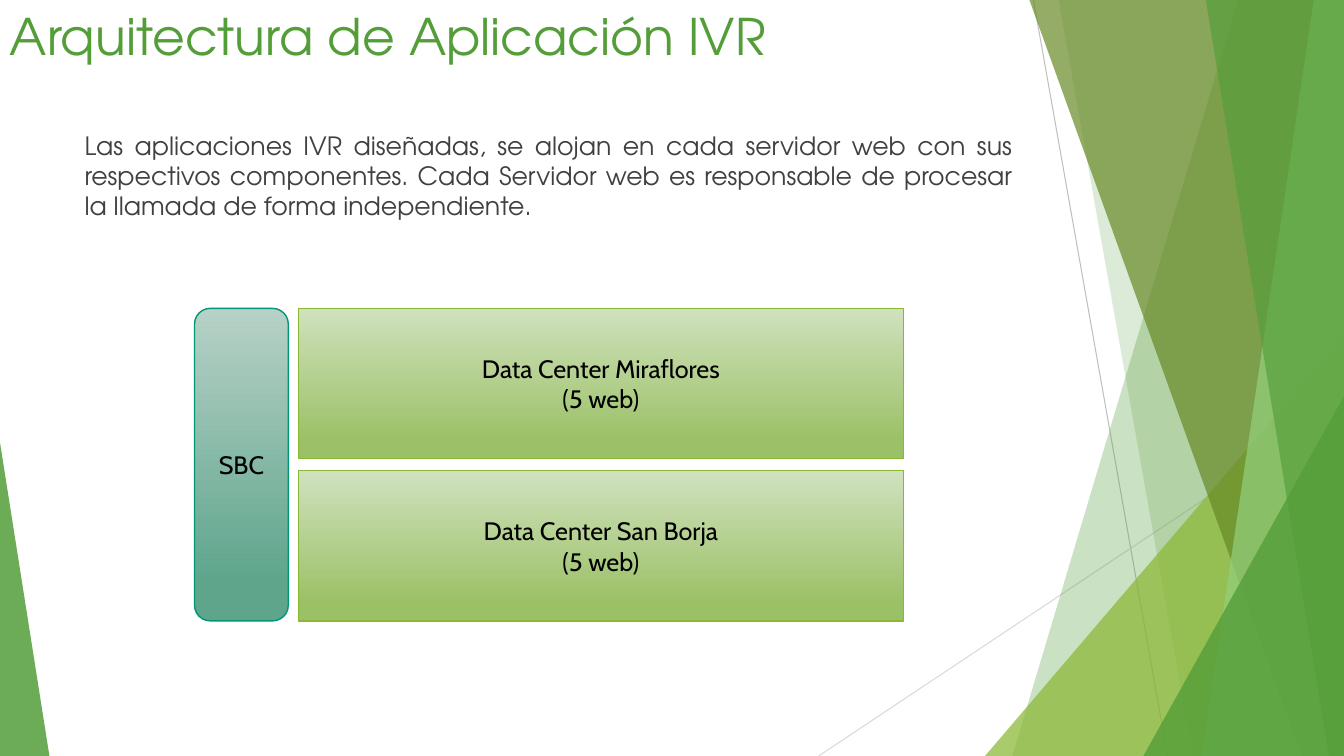
import pptx
import pptx.util
import pptx.dml.color
import pptx.enum.shapes
import pptx.enum.text
import pptx.oxml.ns
import lxml.etree

RGBColor = pptx.dml.color.RGBColor
SHAPE = pptx.enum.shapes.MSO_SHAPE
ALIGN = pptx.enum.text.PP_ALIGN
ANCHOR = pptx.enum.text.MSO_ANCHOR

GREEN = RGBColor(0x54, 0x9E, 0x39)
LIME = RGBColor(0x8A, 0xB8, 0x33)
OLIVE = RGBColor(0x67, 0x8A, 0x26)
MINT = RGBColor(0x93, 0xD0, 0x7D)
TEAL = RGBColor(0x02, 0x96, 0x76)
LIME_FADE = (RGBColor(0xD0, 0xE1, 0xBE), RGBColor(0x9B, 0xC1, 0x66))
TEAL_FADE = (RGBColor(0xB7, 0xD1, 0xC7), RGBColor(0x5E, 0xA5, 0x8C))
GREY = RGBColor(0xBF, 0xBF, 0xBF)
PALE_GREY = RGBColor(0xD9, 0xD9, 0xD9)
DARK = RGBColor(0x40, 0x40, 0x40)
BLACK = RGBColor(0, 0, 0)

TITLE_FONT, LABEL_FONT = "TeX Gyre Adventor", "Cabin"
WIDTH, HEIGHT = 13.33, 7.5

TITLE = "Arquitectura de Aplicación IVR"
BODY = (
    "Las aplicaciones IVR diseñadas, se alojan en cada servidor web con sus "
    "respectivos componentes. Cada Servidor web es responsable de procesar "
    "la llamada de forma independiente."
)
GATEWAY = "SBC"
CENTERS = ["Data Center Miraflores\n(5 web)", "Data Center San Borja\n(5 web)"]

RAYS = [
    ((10.25, 0), (11.58, HEIGHT), GREY),
    ((WIDTH, 4.03), (8.12, HEIGHT), PALE_GREY),
]
FACETS = [
    ("band", 12.28, 10.04, GREEN, 30),
    ("band", 10.5, 11.83, GREEN, 20),
    ("corner", WIDTH - 3.56, 3.56, 4.17, 1, LIME, 72),
    ("band", 10.21, 12.91, OLIVE, 70),
    ("band", 13.03, 11.92, MINT, 70),
    ("band", 11.96, 13.18, GREEN, 65),
    ("corner", WIDTH - 1.99, 1.99, 3.57, 1, GREEN, 80),
    ("corner", 0, 0.49, 3.11, 0, GREEN, 85),
]

LEFT, TOP = 1.93, 3.06
GATEWAY_W, CENTER_W, CENTER_H = 0.93, 6, 1.49
GAP_X, GAP_Y = 0.1, 0.12

inch = pptx.util.Inches
prs = pptx.Presentation()
prs.slide_width, prs.slide_height = inch(WIDTH), inch(HEIGHT)
s = prs.slides.add_slide(prs.slide_layouts[6])


def add_ray(start, end, color):
    line = s.shapes.add_connector(
        pptx.enum.shapes.MSO_CONNECTOR.STRAIGHT, *map(inch, start + end)
    )
    line.line.color.rgb = color
    line.line.width = pptx.util.Pt(0.75)
    lxml.etree.SubElement(
        line._element.spPr, pptx.oxml.ns.qn("a:effectLst")
    )


def paint(sp, color, opacity):
    sp.shadow.inherit = False
    sp.line.fill.background()
    sp.fill.solid()
    sp.fill.fore_color.rgb = color
    clr = sp._element.spPr.find(".//" + pptx.oxml.ns.qn("a:srgbClr"))
    alpha = lxml.etree.SubElement(clr, pptx.oxml.ns.qn("a:alpha"))
    alpha.set("val", str(opacity * 1000))


def add_band(top_x, bottom_x, color, opacity):
    outline = s.shapes.build_freeform(inch(top_x), 0)
    corners = [(WIDTH, 0), (WIDTH, HEIGHT), (bottom_x, HEIGHT)]
    outline.add_line_segments([(inch(x), inch(y)) for x, y in corners])
    paint(outline.convert_to_shape(), color, opacity)


def add_corner(x, w, h, apex, color, opacity):
    sp = s.shapes.add_shape(
        SHAPE.ISOSCELES_TRIANGLE, *map(inch, (x, HEIGHT - h, w, h))
    )
    sp.adjustments[0] = apex
    paint(sp, color, opacity)


def write(sp, text, size, font, color, align, anchor):
    tf = sp.text_frame
    tf.word_wrap = True
    tf.vertical_anchor = anchor
    tf.text = text
    for p in tf.paragraphs:
        p.alignment = align
        for r in p.runs:
            r.font.size = pptx.util.Pt(size)
            r.font.name = font
            r.font.color.rgb = color


def add_text(x, y, w, h, text, size, color, align):
    sp = s.shapes.add_textbox(*map(inch, (x, y, w, h)))
    write(sp, text, size, TITLE_FONT, color, align, ANCHOR.TOP)


def add_node(kind, x, y, w, h, text, fade, border):
    sp = s.shapes.add_shape(kind, *map(inch, (x, y, w, h)))
    sp.shadow.inherit = False
    sp.fill.gradient()
    sp.fill.gradient_angle = 270
    for stop, color, position in zip(sp.fill.gradient_stops, fade, (0, 0.88)):
        stop.color.rgb = color
        stop.position = position
    sp.line.color.rgb = border
    sp.line.width = pptx.util.Pt(1)
    write(sp, text, 18, LABEL_FONT, BLACK, ALIGN.CENTER, ANCHOR.MIDDLE)


for ray in RAYS:
    add_ray(*ray)
for kind, *facet in FACETS:
    (add_band if kind == "band" else add_corner)(*facet)

add_text(0, 0, 9.4, 0.8, TITLE, 36, GREEN, ALIGN.LEFT)
add_text(0.74, 1.24, 9.4, 1.1, BODY, 18, DARK, ALIGN.JUSTIFY)

for i, center in enumerate(CENTERS):
    add_node(SHAPE.RECTANGLE, LEFT + GATEWAY_W + GAP_X,
             TOP + i * (CENTER_H + GAP_Y), CENTER_W, CENTER_H,
             center, LIME_FADE, LIME)
stack_h = len(CENTERS) * (CENTER_H + GAP_Y) - GAP_Y
add_node(SHAPE.ROUNDED_RECTANGLE, LEFT, TOP, GATEWAY_W, stack_h,
         GATEWAY, TEAL_FADE, TEAL)

prs.save("out.pptx")
